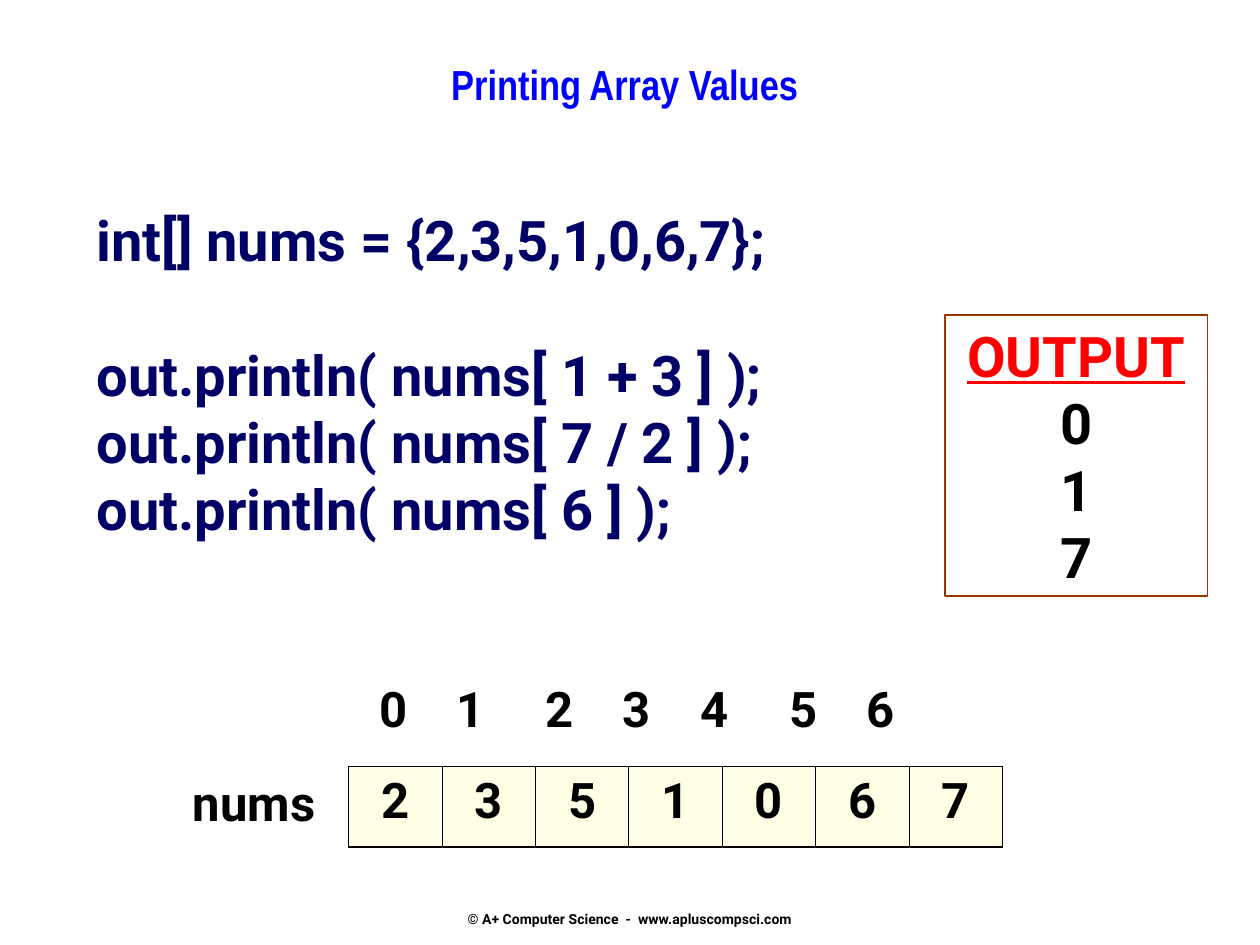
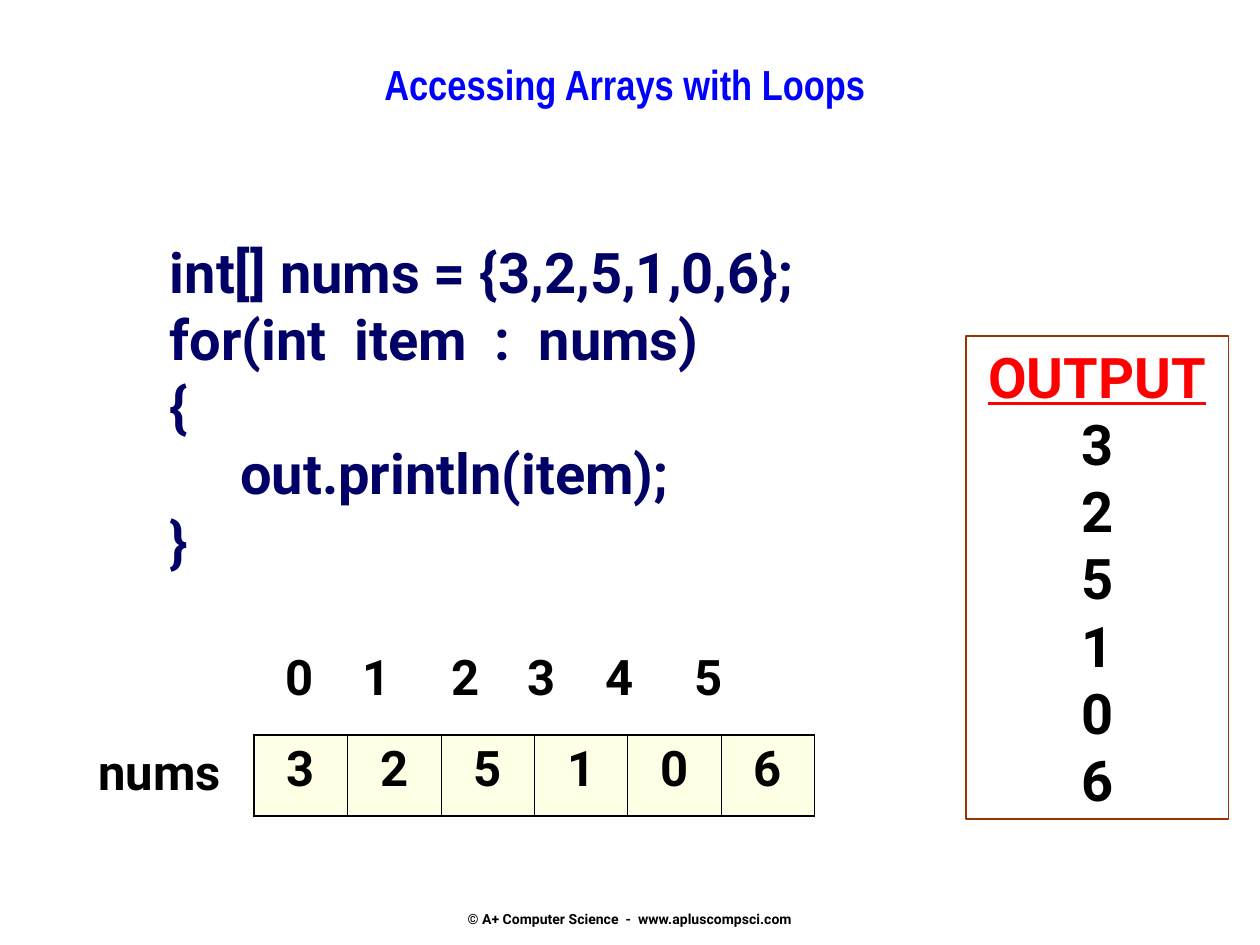
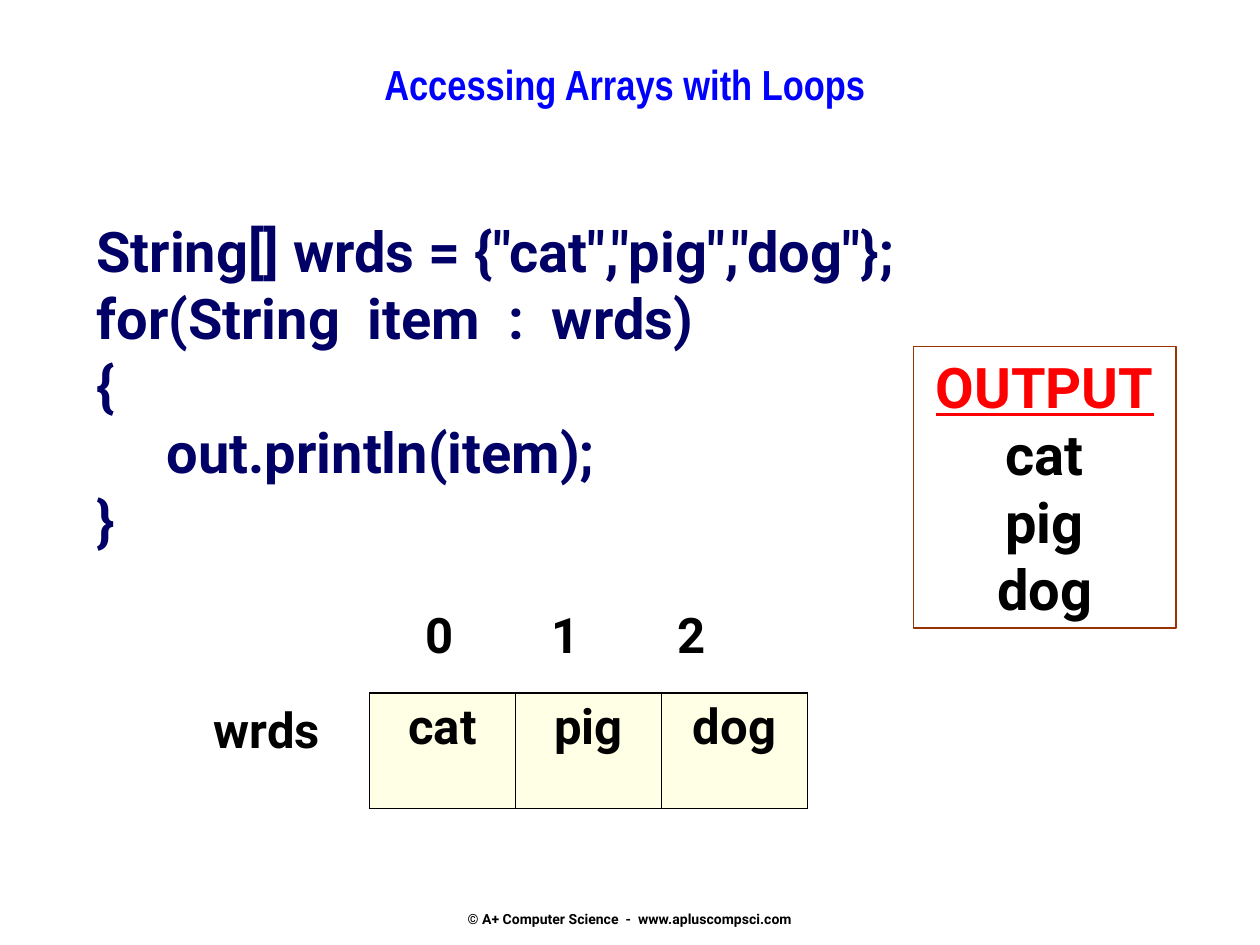
from pptx import Presentation
from pptx.dml.color import RGBColor
from pptx.enum.shapes import MSO_SHAPE
from pptx.enum.text import MSO_ANCHOR, PP_ALIGN
from pptx.oxml.ns import qn
from pptx.util import Pt
from lxml import etree

PX = 7620
RECTANGLE = MSO_SHAPE.RECTANGLE
TOP, BOTTOM = MSO_ANCHOR.TOP, MSO_ANCHOR.BOTTOM
LEFT, CENTER = PP_ALIGN.LEFT, PP_ALIGN.CENTER

BLUE = RGBColor(0x00, 0x00, 0xFF)
NAVY = RGBColor(0x00, 0x00, 0x66)
RED = RGBColor(0xFF, 0x00, 0x00)
BROWN = RGBColor(0x99, 0x33, 0x00)
BLACK = RGBColor(0x00, 0x00, 0x00)
CREAM = RGBColor(0xFF, 0xFF, 0xCC)

BODY_FONT = "Roboto"
TITLE_FONT = "Arial Narrow"
FOOTER = "© A+ Computer Science  -  www.apluscompsci.com"
CODE_SIZE, ARRAY_SIZE = 32, 28
CODE_LINE = 64
CODE_INDENT = 67
INSET_X, INSET_Y = 12, 6
THIN, THICK = 0.45, 1.08
DIGIT_STOPS = (73, 158, 231, 305, 390, 463)
WORD_STOPS = (120, 240)


class Deck:
    def __init__(self):
        self.presentation = Presentation()
        self.presentation.slide_width = 1200 * PX
        self.presentation.slide_height = 900 * PX
        self.slide = None

    def start_slide(self, title):
        self.slide = self.presentation.slides.add_slide(self.presentation.slide_layouts[6])
        footer = self.text_box(410, 820, 380, 63, anchor=BOTTOM)
        footer.margin_bottom = 0
        self.add_text(footer, FOOTER, 8, BLACK, align=CENTER)
        heading = self.text_box(130, 50, 930, 110)
        self.add_text(heading, title, 24, BLUE, TITLE_FONT, CENTER)

    def set_frame(self, frame, anchor=TOP):
        frame.word_wrap = True
        frame.vertical_anchor = anchor
        frame.margin_left = frame.margin_right = INSET_X * PX
        frame.margin_top = frame.margin_bottom = INSET_Y * PX
        return frame

    def text_box(self, left, top, width, height, anchor=TOP):
        shape = self.slide.shapes.add_textbox(left * PX, top * PX, width * PX, height * PX)
        return self.set_frame(shape.text_frame, anchor)

    def add_text(self, frame, text, size, color, font=BODY_FONT, align=LEFT, underline=False):
        paragraph = frame.paragraphs[-1]
        if paragraph.runs:
            paragraph = frame.add_paragraph()
        paragraph.alignment = align
        run = paragraph.add_run()
        run.text = text
        run.font.name = font
        run.font.size = Pt(size)
        run.font.bold = True
        run.font.color.rgb = color
        if underline:
            run.font.underline = True
        return paragraph

    def code(self, left, top, width, height, lines, indented=(), spaced=()):
        frame = self.text_box(left, top, width, height)
        for number, line in enumerate(lines):
            paragraph = self.add_text(frame, line, CODE_SIZE, NAVY)
            if number in indented:
                paragraph._p.get_or_add_pPr().set("marL", str(CODE_INDENT * PX))
            if number in spaced:
                paragraph.space_before = Pt(CODE_LINE * 0.6)

    def output(self, left, top, values):
        height = CODE_LINE * (len(values) + 1) + 2 * INSET_Y
        shape = self.slide.shapes.add_shape(RECTANGLE, left * PX, top * PX, 250 * PX, height * PX)
        shape.shadow.inherit = False
        shape.fill.background()
        shape.line.color.rgb = BROWN
        shape.line.width = Pt(1)
        frame = self.set_frame(shape.text_frame)
        self.add_text(frame, "OUTPUT", CODE_SIZE, RED, align=CENTER, underline=True)
        for value in values:
            self.add_text(frame, value, CODE_SIZE, BLACK, align=CENTER)

    def indices(self, left, top, width, count, stops, indent):
        frame = self.text_box(left, top, width, 68)
        frame.margin_left = (INSET_X + indent) * PX
        text = "\t".join(str(index) for index in range(count))
        paragraph = self.add_text(frame, text, ARRAY_SIZE, BLACK)
        tab_list = etree.SubElement(paragraph._p.get_or_add_pPr(), qn("a:tabLst"))
        for stop in stops[:count - 1]:
            etree.SubElement(tab_list, qn("a:tab"), pos=str(stop * PX), algn="l")

    def style_cell(self, cell, left_width, right_width):
        properties = cell._tc.get_or_add_tcPr()
        sides = (("a:lnL", left_width), ("a:lnR", right_width), ("a:lnT", THICK), ("a:lnB", THICK))
        for side, width in sides:
            line = etree.SubElement(properties, qn(side), w=str(int(Pt(width))))
            fill = etree.SubElement(line, qn("a:solidFill"))
            etree.SubElement(fill, qn("a:srgbClr"), val=str(BLACK))
        cell.fill.solid()
        cell.fill.fore_color.rgb = CREAM
        color = properties.find(qn("a:solidFill")).find(qn("a:srgbClr"))
        etree.SubElement(color, qn("a:alpha"), val="50000")

    def array(self, left, top, name, values, cell_width=89, height=77, stops=DIGIT_STOPS, indent=0):
        count = len(values)
        width = cell_width * count
        label = self.text_box(left - 160, top, 154, 68)
        self.add_text(label, name, ARRAY_SIZE, BLACK)
        table = self.slide.shapes.add_table(
            1, count, left * PX, top * PX, width * PX, height * PX).table
        table.first_row = False
        table.horz_banding = False
        for number, value in enumerate(values):
            table.columns[number].width = cell_width * PX
            cell = table.cell(0, number)
            self.style_cell(cell, THICK if number == 0 else THIN,
                            THICK if number == count - 1 else THIN)
            self.add_text(cell.text_frame, value, ARRAY_SIZE, BLACK, align=CENTER)
        self.indices(left + 18, top - 90, width, count, stops, indent)


def main():
    deck = Deck()

    deck.start_slide("Printing Array Values")
    deck.code(80, 190, 820, 332, (
        "int[] nums = {2,3,5,1,0,6,7};",
        "out.println( nums[ 1 + 3 ] );",
        "out.println( nums[ 7 / 2 ] );",
        "out.println( nums[ 6 ] );"), spaced=(1,))
    deck.output(900, 300, "017")
    deck.array(332, 730, "nums", "2351067")

    deck.start_slide("Accessing Arrays with Loops")
    deck.code(150, 220, 950, 396, (
        "int[] nums = {3,2,5,1,0,6};",
        "for(int  item  :  nums)",
        "{",
        "out.println(item);",
        "}"), indented=(3,))
    deck.output(920, 320, "325106")
    deck.array(242, 700, "nums", "325106")

    animals = ("cat", "pig", "dog")
    deck.start_slide("Accessing Arrays with Loops")
    deck.code(80, 200, 1090, 396, (
        'String[] wrds = {"cat","pig","dog"};',
        "for(String  item  :  wrds)",
        "{",
        "out.println(item);",
        "}"), indented=(3,))
    deck.output(870, 330, animals)
    deck.array(352, 660, "wrds", animals, 139, 110, WORD_STOPS, 23)

    deck.presentation.save("out.pptx")


if __name__ == "__main__":
    main()
